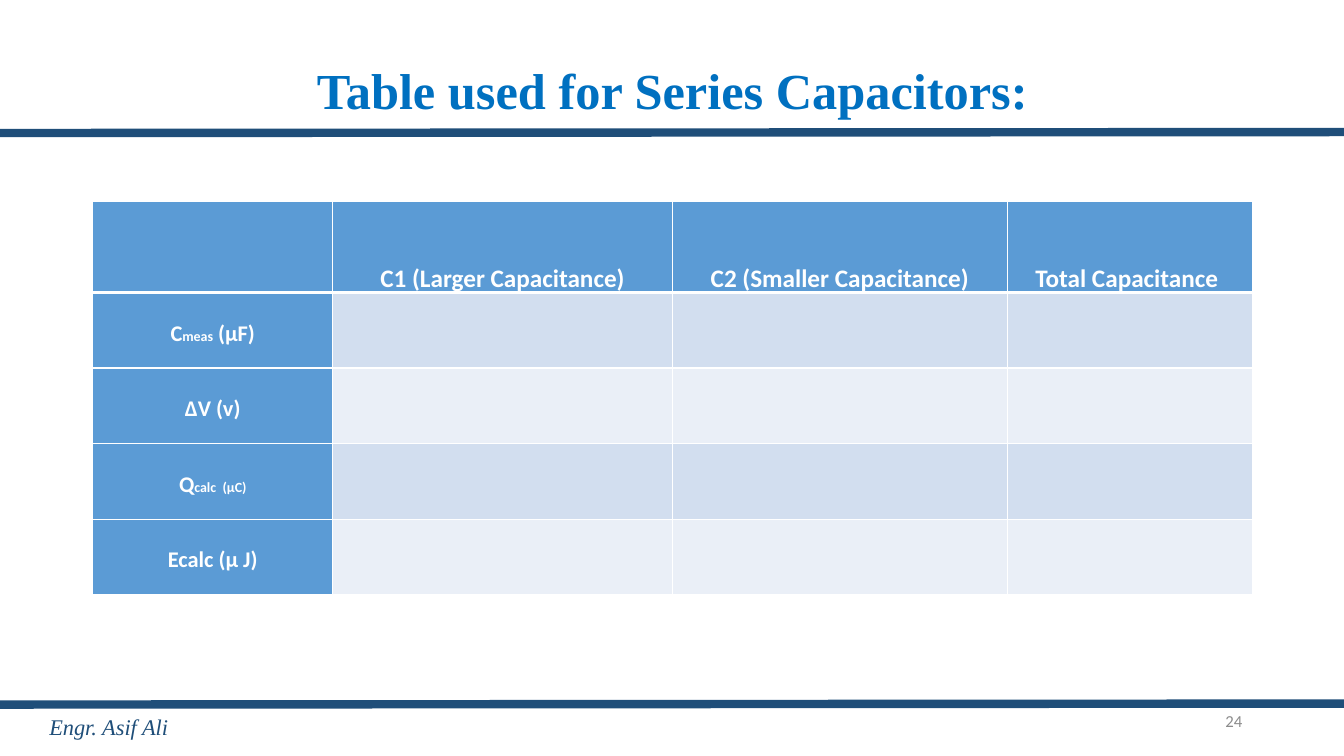
from lxml.etree import SubElement
from pptx import Presentation
from pptx.dml.color import RGBColor
from pptx.enum.shapes import MSO_CONNECTOR as Connector
from pptx.enum.text import MSO_ANCHOR as Anchor, PP_ALIGN as Align
from pptx.oxml.ns import qn
from pptx.util import Inches, Pt

WHITE = RGBColor(0xFF, 0xFF, 0xFF)
TITLE_BLUE = RGBColor(0x00, 0x70, 0xC0)
NAVY = RGBColor(0x1F, 0x4E, 0x79)
GRAY = RGBColor(0x8C, 0x8C, 0x8C)
HEADER_BLUE = RGBColor(0x5B, 0x9B, 0xD5)
BANDS = (RGBColor(0xD2, 0xDE, 0xEF), RGBColor(0xEA, 0xEF, 0xF7))

COLUMN_WIDTHS = (2.38, 3.37, 3.32, 2.43)
ROW_HEIGHTS = (0.9, 0.75, 0.75, 0.75, 0.75)
HEADINGS = ("C1 (Larger Capacitance)", "C2 (Smaller Capacitance)",
            "Total Capacitance ")
# Each row label is a list of (text, point size)
QUANTITIES = (
    [("C", 16), ("meas", 10), (" (µF)", 16)],
    [("ΔV (v)", 16)],
    [("Q", 16), ("calc  (µC)", 10)],
    [("Ecalc (µ J)", 16)],
)


def add_run(paragraph, text, color, **font_format):
    run = paragraph.add_run()
    run.text = text
    run.font.color.rgb = color
    for name, value in font_format.items():
        setattr(run.font, name, value)


def add_label(slide, box, text, color, align, line_spacing=1.0, **font_format):
    label = slide.shapes.add_textbox(*map(Inches, box))
    frame = label.text_frame
    frame.word_wrap = True
    frame.vertical_anchor = Anchor.MIDDLE
    paragraph = frame.paragraphs[0]
    paragraph.alignment = align
    paragraph.line_spacing = line_spacing
    add_run(paragraph, text, color, **font_format)


def add_rule(slide, left_y, right_y):
    rule = slide.shapes.add_connector(Connector.STRAIGHT, 0, Inches(left_y),
                                      Inches(13.33), Inches(right_y))
    rule.line.color.rgb = NAVY
    rule.line.width = Pt(6)
    SubElement(rule._element.spPr, qn("a:effectLst"))


def style_cell(cell, color, top=1, bottom=1):
    properties = cell._tc.get_or_add_tcPr()
    # Borders come before the fill in the cell properties
    for side, width in {"L": 1, "R": 1, "T": top, "B": bottom}.items():
        border = SubElement(properties, qn(f"a:ln{side}"), w=str(Pt(width)))
        paint = SubElement(border, qn("a:solidFill"))
        SubElement(paint, qn("a:srgbClr"), val=str(WHITE))
    cell.fill.solid()
    cell.fill.fore_color.rgb = color


def fill_cell(cell, parts, line_spacing):
    margins = {"margin_left": 0.07, "margin_right": 0.07,
               "margin_top": 0, "margin_bottom": 0}
    for name, value in margins.items():
        setattr(cell, name, Inches(value))
    paragraph = cell.text_frame.paragraphs[0]
    paragraph.alignment = Align.CENTER
    paragraph.line_spacing = line_spacing
    for text, size in parts:
        add_run(paragraph, text, WHITE, name="Calibri", size=Pt(size), bold=True)


def add_capacitor_table(slide):
    table = slide.shapes.add_table(
        len(ROW_HEIGHTS), len(COLUMN_WIDTHS), Inches(0.92), Inches(2),
        Inches(sum(COLUMN_WIDTHS)), Inches(sum(ROW_HEIGHTS))).table
    table.first_row = table.horz_banding = False
    for column, width in zip(table.columns, COLUMN_WIDTHS):
        column.width = Inches(width)
    for row, height in zip(table.rows, ROW_HEIGHTS):
        row.height = Inches(height)

    # Fills and borders, with a thick line under the headings
    for r, row in enumerate(table.rows):
        for c, cell in enumerate(row.cells):
            color = HEADER_BLUE if r == 0 or c == 0 else BANDS[(r - 1) % 2]
            style_cell(cell, color, top=3 if r == 1 else 1,
                       bottom=3 if r == 0 else 1)

    # Column headings and row labels
    for c, heading in enumerate(HEADINGS, 1):
        fill_cell(table.cell(0, c), [(heading, 18)], 3.0)
    for r, quantity in enumerate(QUANTITIES, 1):
        fill_cell(table.cell(r, 0), quantity, 2.0)


def main():
    deck = Presentation()
    deck.slide_width, deck.slide_height = Inches(13.33), Inches(7.5)
    slide = deck.slides.add_slide(deck.slide_layouts[6])

    # Title
    add_label(slide, (0.92, 0.2, 11.5, 1.45), "Table used for Series Capacitors:",
              TITLE_BLUE, Align.CENTER, 0.9,
              name="Times New Roman", size=Pt(36), bold=True)

    # Footer and rules
    add_label(slide, (9.42, 6.95, 3, 0.4), "24", GRAY, Align.RIGHT,
              name="Calibri", size=Pt(12))
    add_rule(slide, 6.99, 6.98)
    add_rule(slide, 1.32, 1.31)
    add_label(slide, (0.39, 7.01, 2.48, 0.4), "Engr. Asif Ali", NAVY, Align.LEFT,
              name="Times New Roman", size=Pt(16), italic=True)

    add_capacitor_table(slide)
    deck.save("out.pptx")


if __name__ == "__main__":
    main()
